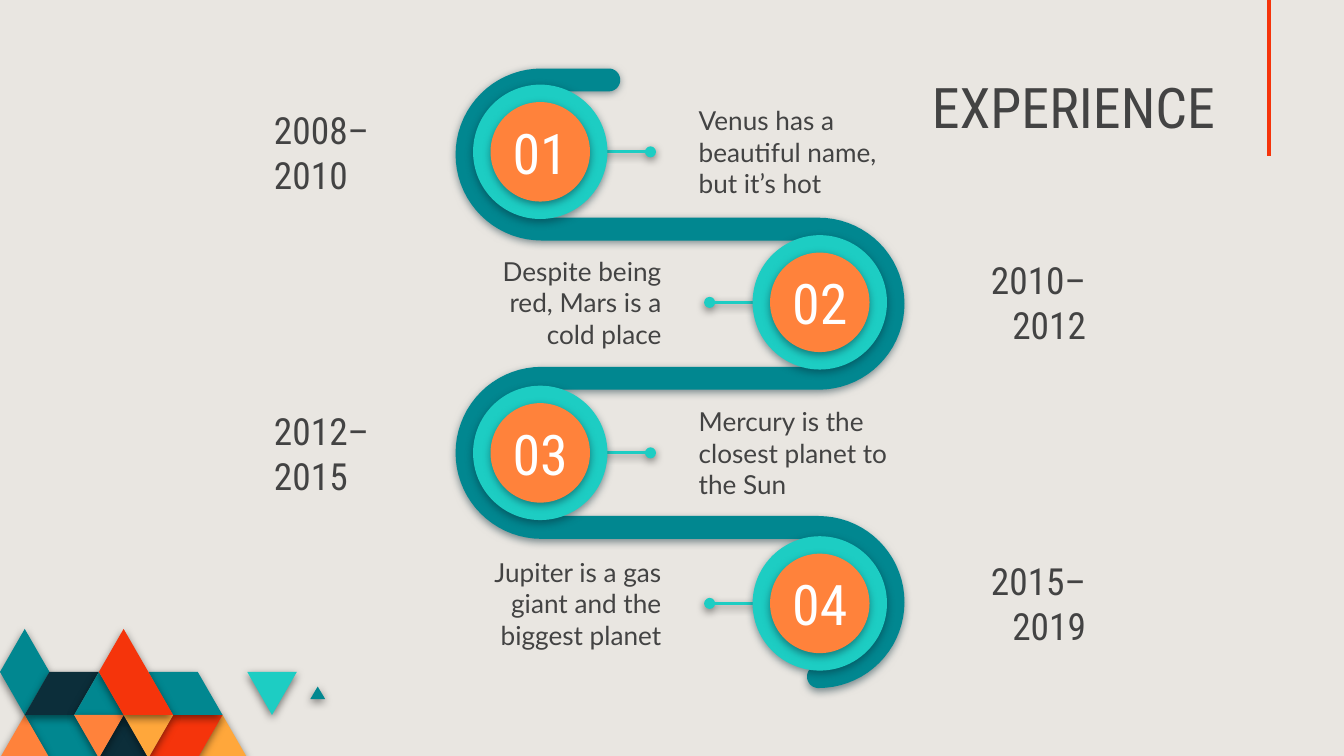
import math
from collections import namedtuple

import pptx
import pptx.dml.color
import pptx.enum.shapes
import pptx.enum.text
import pptx.oxml
import pptx.oxml.ns
import pptx.util

COLORS = {
    "paper": "E9E6E1", "ink": "434343", "white": "FFFFFF", "black": "000000",
    "teal": "018790", "aqua": "1DCDC3", "navy": "0C2E3A",
    "red": "F5340B", "orange": "FF823B", "amber": "FFA73B",
}
HEADING, BODY = "Roboto Condensed", "Lato"
ALIGN = pptx.enum.text.PP_ALIGN
ANCHOR = pptx.enum.text.MSO_ANCHOR

# All boxes are in grid units: the slide is 100 columns by 56.25 rows.
COLUMNS, ROWS = 100, 56.25
Box = namedtuple("Box", "left top width height")

MILESTONES = [
    ("01", "2008–2010", "Venus has a beautiful name, but it’s hot"),
    ("02", "2010–2012", "Despite being red, Mars is a cold place"),
    ("03", "2012–2015", "Mercury is the closest planet to the Sun"),
    ("04", "2015–2019", "Jupiter is a gas giant and the biggest planet"),
]

# Corners are (half tile, tile row) within the mosaic.
TILES = [
    ("amber", [(9, 3), (8, 2), (10, 3)][:0] or [(9, 2), (8, 3), (10, 3)]),
    ("red", [(9, 2), (7, 2), (6, 3), (8, 3)]),
    ("teal", [(4, 3), (3, 2), (1, 2), (2, 3)]),
    ("orange", [(2, 3), (1, 2), (0, 3)]),
    ("navy", [(6, 3), (5, 2), (4, 3)]),
    ("teal", [(9, 2), (8, 1), (6, 1), (7, 2)]),
    ("teal", [(13.15, 1.63), (12.85, 1.34), (12.55, 1.63)]),
    ("aqua", [(12, 1), (10, 1), (11, 2)]),
    ("teal", [(2, 1), (1, 0), (0, 1), (1, 2)]),
    ("navy", [(4, 1), (2, 1), (1, 2), (3, 2)]),
    ("teal", [(5, 2), (4, 1), (3, 2)]),
    ("orange", [(5, 2), (3, 2), (4, 3)]),
    ("amber", [(7, 2), (5, 2), (6, 3)]),
    ("red", [(7, 2), (5, 0), (4, 1), (5, 2)]),
]


def units(value):
    return pptx.util.Inches(value / 10)


def rgb(color):
    return pptx.dml.color.RGBColor.from_string(COLORS[color])


def centred(x, y, width, height):
    return Box(x - width / 2, y - height / 2, width, height)


def set_shadow(shape, color=None):
    """Replace the theme shadow by a soft one below, or by none."""
    shadow = "" if color is None else (
        '<a:outerShdw blurRad="57150" dist="19050" dir="5400000" algn="bl" '
        f'rotWithShape="0"><a:srgbClr val="{COLORS[color]}">'
        '<a:alpha val="50000"/></a:srgbClr></a:outerShdw>')
    namespace = pptx.oxml.ns.nsdecls("a")
    shape._element.spPr.append(pptx.oxml.parse_xml(
        f"<a:effectLst {namespace}>{shadow}</a:effectLst>"))


def paint(shape, fill, shadow):
    shape.fill.solid()
    shape.fill.fore_color.rgb = rgb(fill)
    shape.line.fill.background()
    set_shadow(shape, shadow)


def add_polygon(slide, points, fill, shadow):
    corners = [(units(x), units(y)) for x, y in points]
    builder = slide.shapes.build_freeform(*corners[0])
    builder.add_line_segments(corners[1:], close=True)
    paint(builder.convert_to_shape(), fill, shadow)


def add_line(slide, start, end, color, width):
    line = slide.shapes.add_connector(
        pptx.enum.shapes.MSO_CONNECTOR.STRAIGHT, *map(units, start + end))
    line.line.color.rgb = rgb(color)
    line.line.width = pptx.util.Pt(width)
    return line


def add_text(slide, box, text, size, font, color="ink", align=ALIGN.LEFT,
             anchor=ANCHOR.MIDDLE, insets=(1, 1)):
    frame = slide.shapes.add_textbox(*map(units, box)).text_frame
    frame.word_wrap = True
    frame.vertical_anchor = anchor
    frame.margin_top = frame.margin_bottom = units(1)
    frame.margin_left, frame.margin_right = map(units, insets)
    paragraph = frame.paragraphs[0]
    paragraph.text = text
    paragraph.alignment = align
    paragraph.font.size = pptx.util.Pt(size)
    paragraph.font.name = font
    paragraph.font.color.rgb = rgb(color)
    return paragraph


def add_mosaic(slide, box):
    half_tile, tile_row = box.width / 13.15, box.height / 3
    for fill, corners in TILES:
        add_polygon(slide, [(box.left + x * half_tile, box.top + y * tile_row)
                            for x, y in corners], fill, "black")


def add_title(slide, box):
    title = add_text(slide, box, "EXPERIENCE", 30, HEADING,
                     align=ALIGN.RIGHT, anchor=ANCHOR.BOTTOM)
    title.line_spacing = 0.8
    rule_x = box.left + box.width + 3
    set_shadow(add_line(slide, (rule_x, 0), (rule_x, 11.6), "red", 2.25))


def arc(center, radius, start, end, steps=36):
    angles = [math.radians(start + (end - start) * i / steps)
              for i in range(steps + 1)]
    return [(center[0] + radius * math.cos(a), center[1] + radius * math.sin(a))
            for a in angles]


def add_ribbon(slide, box):
    """Band of even width that winds around four alternating centers."""
    outer, inner = 6.4, 4.7
    middle, cap = (outer + inner) / 2, (outer - inner) / 2
    sides = (box.left + outer, box.left + box.width - outer)
    pitch = outer + inner
    first, second, third, fourth = [
        (sides[i % 2], box.top + outer + i * pitch) for i in range(4)]
    tail = (fourth[0], fourth[1] + middle)
    tip = (first[0] + 5, first[1] - middle)
    outline = (
        arc(first, outer, 270, 90) + arc(second, inner, -90, 90)
        + arc(third, outer, 270, 90) + arc(fourth, inner, -90, 90)
        + arc(tail, cap, 270, 90)
        + arc(fourth, outer, 90, -90) + arc(third, inner, 90, 270)
        + arc(second, outer, 90, -90) + arc(first, inner, 90, 270)
        + arc(tip, cap, 90, -90))
    add_polygon(slide, outline, "teal", "navy")


def add_pointer(slide, x, y, side):
    pointer = add_line(slide, (x + side * 3.3, y), (x + side * 8.2, y),
                       "aqua", 1.5)
    pointer.line._get_or_add_ln().append(pptx.oxml.parse_xml(
        f'<a:tailEnd {pptx.oxml.ns.nsdecls("a")} type="oval"/>'))
    set_shadow(pointer, "black")


def add_milestone(slide, x, y, side, number, years, caption):
    """Badge at (x, y), caption on the given side and years opposite."""
    for size, fill in ((10, "aqua"), (7.4, "orange")):
        badge = slide.shapes.add_shape(
            pptx.enum.shapes.MSO_SHAPE.OVAL,
            *map(units, centred(x, y, size, size)))
        paint(badge, fill, "navy")
    align = ALIGN.LEFT if side > 0 else ALIGN.RIGHT
    add_text(slide, centred(x, y, 6.5, 6.3), number, 30, HEADING, "white",
             ALIGN.CENTER)
    add_text(slide, centred(x + side * 19.4, y, 17.2, 5.8), caption, 14, BODY,
             align=align)
    # The wider inner inset breaks the years after the dash.
    add_text(slide, centred(x - side * 13.5, y, 14.6, 4.3), years, 20, HEADING,
             align=align, insets=(1, 2) if side > 0 else (2, 1))


def add_timeline(slide, box):
    spots = [(box.left + (6.3, 27.1)[i % 2], box.top + 6.2 + i * 11.2,
              (1, -1)[i % 2]) for i in range(len(MILESTONES))]
    for spot in spots:
        add_pointer(slide, *spot)
    add_ribbon(slide, box)
    for spot, milestone in zip(spots, MILESTONES):
        add_milestone(slide, *spot, *milestone)


def main():
    deck = pptx.Presentation()
    deck.slide_width, deck.slide_height = units(COLUMNS), units(ROWS)
    slide = deck.slides.add_slide(deck.slide_layouts[6])
    slide.background.fill.solid()
    slide.background.fill.fore_color.rgb = rgb("paper")
    add_mosaic(slide, Box(0, 46.8, 24.2, 9.6))
    add_title(slide, Box(50, 5.1, 41.4, 6.3))
    add_timeline(slide, Box(33.9, 5.1, 33.4, 46))
    deck.save("out.pptx")


if __name__ == "__main__":
    main()
